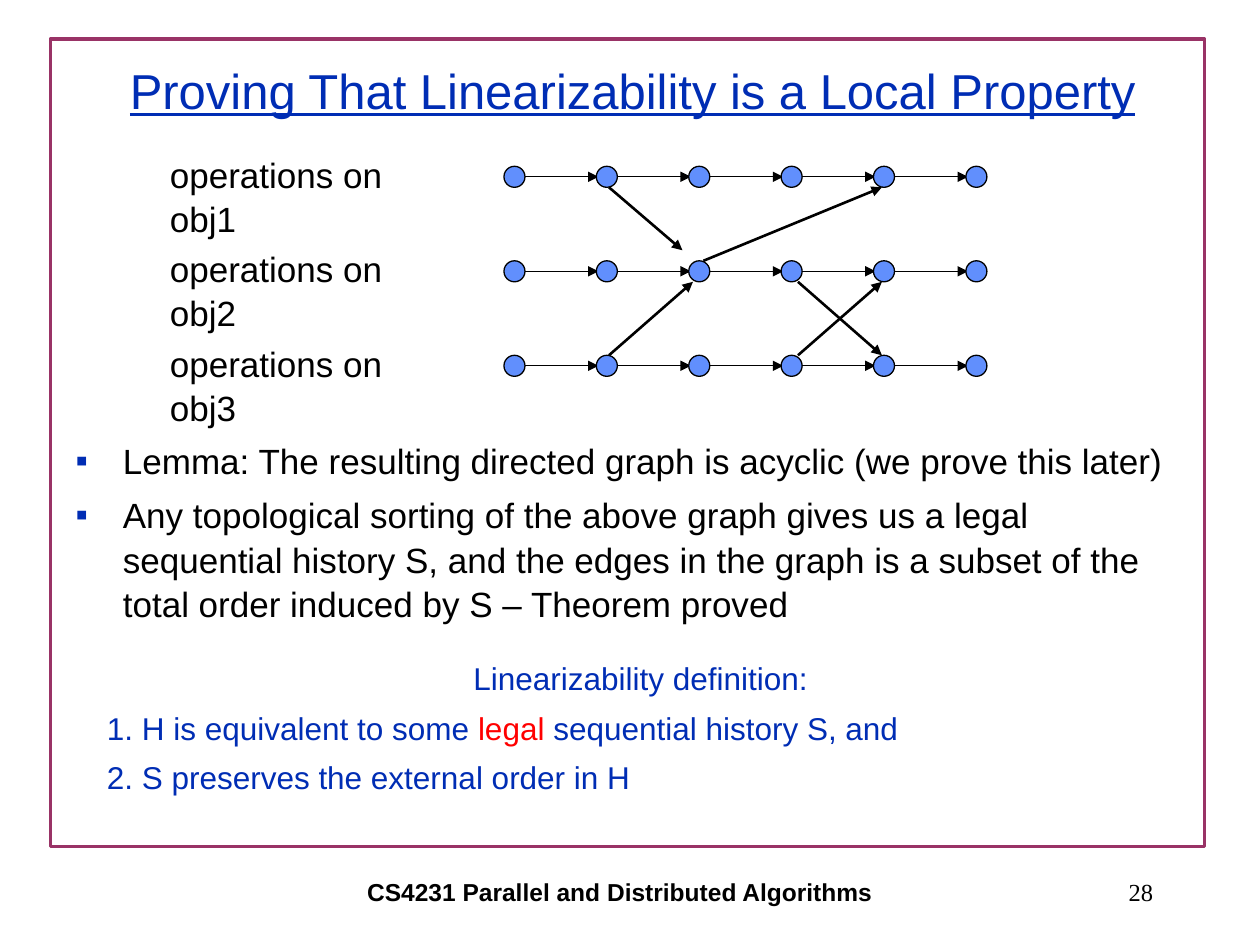
import pptx
import pptx.util
import pptx.dml.color
import pptx.enum.shapes
import pptx.enum.text
import pptx.oxml
import pptx.oxml.ns

COLORS = {
    "ink": "000000",
    "heading": "002DB4",
    "legal": "FF0000",
    "operation": "618FFD",
    "frame": "993366",
}
COLUMNS, ROWS = 100, 75
OPERATIONS = 6
OBJECTS = ("obj1", "obj2", "obj3")
NODE = 1.67
ALIGN = pptx.enum.text.PP_ALIGN
ANCHOR = pptx.enum.text.MSO_ANCHOR
SHAPE = pptx.enum.shapes.MSO_SHAPE

# Placeholder
ORDER_EDGES = (
    ((1, 2, 0.2, -1), (2, 1, -0.6, 1)),
    ((3, 2, 0.6, -1), (4, 1, -0.2, 1)),
    ((3, 1, 0.6, 1), (4, 2, -0.2, -1)),
    ((2, 1, 0.4, -1), (4, 0, -0.2, 1)),
    ((1, 0, 0.2, 1), (2, 1, -1.6, -2)),
)

presentation = pptx.Presentation()
presentation.slide_width = pptx.util.Inches(10)
presentation.slide_height = pptx.util.Inches(7.5)
COLUMN = presentation.slide_width / COLUMNS
ROW = presentation.slide_height / ROWS


def grid(left, top, width, height):
    return (round(left * COLUMN), round(top * ROW),
            round(width * COLUMN), round(height * ROW))


def apply(target, formats):
    for attribute, value in formats.items():
        setattr(target, attribute, value)


def color(name):
    return pptx.dml.color.RGBColor.from_string(COLORS[name])


def add_xml(parent, tag, **attributes):
    child = pptx.oxml.parse_xml(f"<a:{tag} {pptx.oxml.ns.nsdecls('a')}/>")
    for key, value in attributes.items():
        child.set(key, value)
    parent.append(child)
    return child


def place(region, box):
    apply(region, dict(zip(("left", "top", "width", "height"), grid(*box))))


def prepare(region, anchor=ANCHOR.TOP, wrap=True):
    frame = region.text_frame
    apply(frame, {
        "auto_size": pptx.enum.text.MSO_AUTO_SIZE.NONE,
        "word_wrap": wrap,
        "vertical_anchor": anchor,
    })
    return frame


def write(paragraph, pieces, size, align=ALIGN.LEFT, face="Arial", **font):
    paragraph.alignment = align
    for text, ink in pieces:
        run = paragraph.add_run()
        run.text = text
        apply(run.font, {"size": pptx.util.Pt(size), "name": face, **font})
        run.font.color.rgb = color(ink)


def write_list(frame, items, size, margin, indent, bullet=None, aligns=()):
    for index, pieces in enumerate(items):
        paragraph = frame.paragraphs[0] if index == 0 else frame.add_paragraph()
        paragraph.line_spacing = 1.05
        paragraph.space_before = pptx.util.Pt(0.3 * size if index else 0)
        properties = paragraph._p.get_or_add_pPr()
        properties.set("marL", str(round(margin * COLUMN)))
        properties.set("indent", str(round(indent * COLUMN)))
        if bullet:
            add_xml(add_xml(properties, "buClr"), "srgbClr", val=COLORS["heading"])
            add_xml(properties, "buFont", typeface="Arial")
            add_xml(properties, "buChar", char=bullet)
        write(paragraph, pieces, size, aligns[index] if aligns else ALIGN.LEFT)


def draw_frame(slide, box):
    border = slide.shapes.add_shape(SHAPE.RECTANGLE, *grid(*box))
    border.shadow.inherit = False
    border.fill.background()
    border.line.color.rgb = color("frame")
    border.line.width = pptx.util.Pt(2)
    slide.shapes._spTree.insert(2, border._element)


def draw_title(slide, box):
    title = slide.shapes.title
    place(title, box)
    frame = prepare(title, ANCHOR.MIDDLE)
    write(frame.paragraphs[0],
          [("Proving That Linearizability is a Local Property", "heading")],
          28, ALIGN.CENTER, underline=True)


def draw_proof(slide, box):
    proof = slide.placeholders[1]
    place(proof, box)
    write_list(prepare(proof), [
        [("Lemma: The resulting directed graph is acyclic (we prove this later)", "ink")],
        [("Any topological sorting of the above graph gives us a legal sequential "
          "history S, and the edges in the graph is a subset of the total order "
          "induced by S – Theorem proved", "ink")],
    ], 20, 3.75, -3.75, "▪")


def draw_labels(slide, box):
    left, top, width, height = box
    for index, name in enumerate(OBJECTS):
        label = slide.shapes.add_textbox(
            *grid(left, top + index * height / len(OBJECTS), width, 4.3))
        write_list(prepare(label), [[(f"operations on {name}", "ink")]], 20, 0, 0)


def draw_arrow(shapes, start, end, weight):
    x1, y1, x2, y2 = grid(*start, *end)
    arrow = shapes.add_connector(
        pptx.enum.shapes.MSO_CONNECTOR.STRAIGHT, x1, y1, x2, y2)
    arrow.line.color.rgb = color("ink")
    arrow.line.width = pptx.util.Pt(weight)
    add_xml(arrow.line._get_or_add_ln(), "tailEnd", type="triangle")
    add_xml(arrow._element.spPr, "effectLst")


def draw_graph(slide, box):
    left, top, width, height = box
    radius = NODE / 2
    step = (width - NODE) / (OPERATIONS - 1)
    drop = (height - NODE) / (len(OBJECTS) - 1)

    def point(operation, row, across, down):
        return (left + radius + operation * step + across * radius,
                top + radius + row * drop + down * radius)

    for row in range(len(OBJECTS)):
        history = slide.shapes.add_group_shape().shapes
        for operation in range(OPERATIONS):
            node = history.add_shape(
                SHAPE.OVAL, *grid(*point(operation, row, -1, -1), NODE, NODE))
            node.shadow.inherit = False
            node.fill.solid()
            node.fill.fore_color.rgb = color("operation")
            node.line.color.rgb = color("ink")
            node.line.width = pptx.util.Pt(0.75)
            if operation < OPERATIONS - 1:
                draw_arrow(history, point(operation, row, 1, 0),
                           point(operation + 1, row, -0.8, 0), 0.75)
    for start, end in ORDER_EDGES:
        draw_arrow(slide.shapes, point(*start), point(*end), 1.5)


def draw_definition(slide, box):
    definition = slide.shapes.add_textbox(*grid(*box))
    write_list(prepare(definition), [
        [("Linearizability definition:", "heading")],
        [("1. H is equivalent to some", "heading"), (" legal", "legal"),
         (" sequential history S, and", "heading")],
        [("2. S preserves the external order in H", "heading")],
    ], 18, 10, -5, aligns=(ALIGN.CENTER, ALIGN.LEFT, ALIGN.LEFT))


def draw_footer(slide, box):
    left, top, width, height = box
    course = slide.shapes.add_textbox(*grid(left, top, 70, height))
    write(prepare(course, ANCHOR.MIDDLE, False).paragraphs[0],
          [("CS4231 Parallel and Distributed Algorithms", "ink")],
          14, ALIGN.CENTER, bold=True)
    number = slide.shapes.add_textbox(*grid(left + width - 20.8, top, 20.8, height))
    write(prepare(number, ANCHOR.MIDDLE).paragraphs[0],
          [("28", "ink")], 14, ALIGN.RIGHT, "Times New Roman")


def main():
    slide = presentation.slides.add_slide(presentation.slide_layouts[1])
    draw_frame(slide, (4, 3.1, 91.6, 64.1))
    draw_footer(slide, (14.2, 68.3, 78.3, 5))
    draw_title(slide, (7.7, 2.5, 85, 9.2))
    draw_proof(slide, (5, 34.2, 90, 21.9))
    draw_graph(slide, (40, 13.2, 38.33, 16.67))
    draw_labels(slide, (12.5, 11.5, 23, 22.5))
    draw_definition(slide, (2.5, 51.7, 91.7, 13.3))
    presentation.save("out.pptx")


if __name__ == "__main__":
    main()
